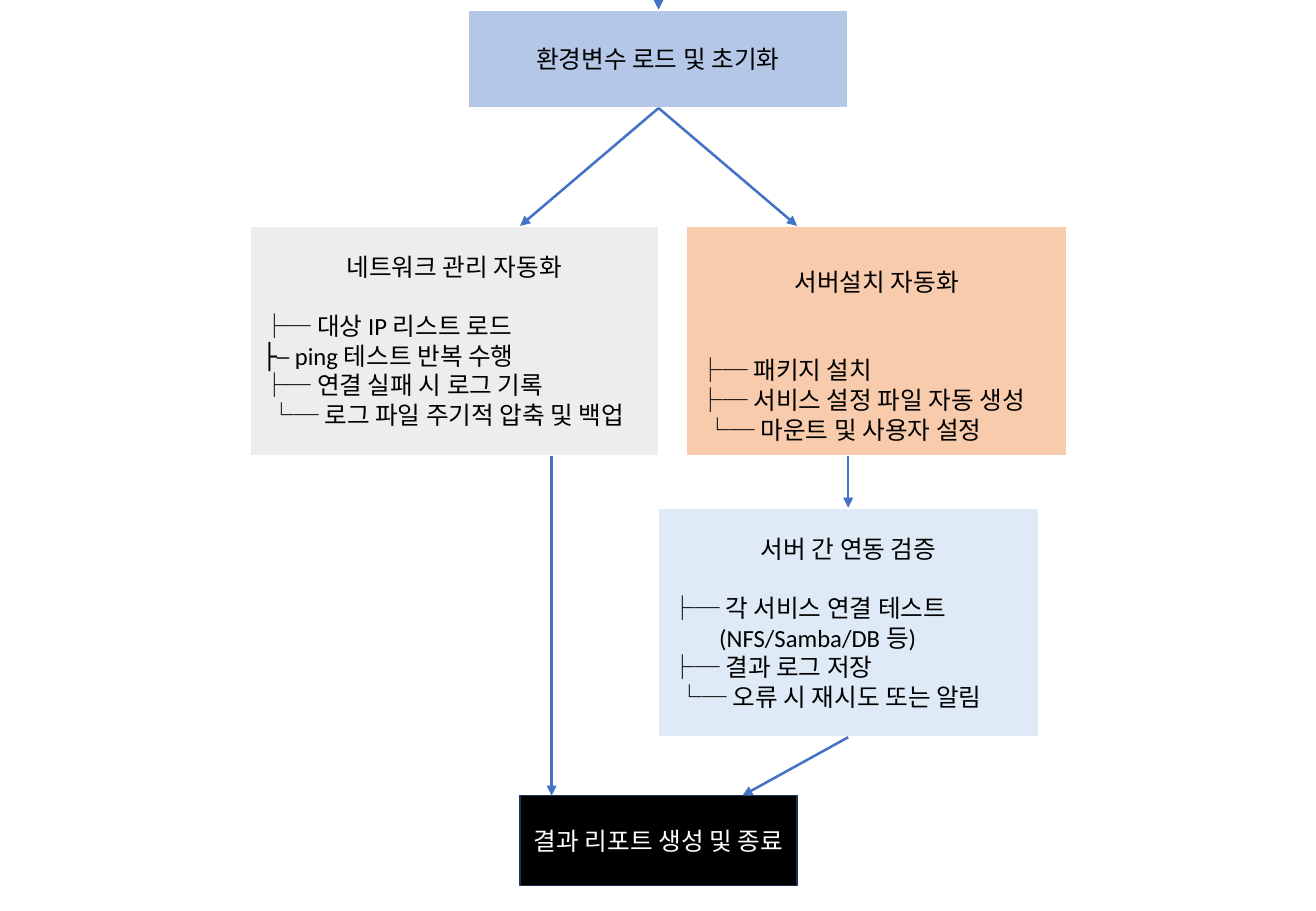
from lxml import etree
from pptx import Presentation
from pptx.dml.color import RGBColor
from pptx.enum import shapes, text
from pptx.oxml import ns
from pptx.util import Inches, Pt

FONT, SIZE, LINE = "Calibri", 14.6, 17.5
INK, PAPER, ARROW = "000000", "FFFFFF", "4472C4"
PLAIN, LAST, NOTE = 0, 0.06, 0.4

STEPS = {
    "load": dict(at=(3.85, 0.08, 3.13, 0.81), fill="B4C7E7", title="환경변수 로드 및 초기화"),
    "server": dict(at=(5.65, 1.86, 3.13, 1.89), fill="F8CBAD", title="서버설치 자동화",
                   gap=2, drop=0.24, items=[
                       (PLAIN, "├─ 패키지 설치"),
                       (PLAIN, "├─ 서비스 설정 파일 자동 생성"),
                       (LAST, "└─ 마운트 및 사용자 설정")]),
    "network": dict(at=(2.06, 1.86, 3.36, 1.89), fill="EDEDED", title="네트워크 관리 자동화",
                    items=[
                        (PLAIN, "├─ 대상 IP 리스트 로드"),
                        (PLAIN, "├─ ping 테스트 반복 수행"),
                        (PLAIN, "├─ 연결 실패 시 로그 기록"),
                        (LAST, "└─ 로그 파일 주기적 압축 및 백업")]),
    "verify": dict(at=(5.42, 4.18, 3.13, 1.89), fill="DEEBF7", title="서버 간 연동 검증",
                   items=[
                       (PLAIN, "├─ 각 서비스 연결 테스트"),
                       (NOTE, "(NFS/Samba/DB 등)"),
                       (PLAIN, "├─ 결과 로그 저장"),
                       (LAST, "└─ 오류 시 재시도 또는 알림")]),
    "finish": dict(at=(4.28, 6.55, 2.28, 0.74), fill=INK, edge="1E3256", ink=PAPER,
                   title="결과 리포트 생성 및 종료"),
}
FLOWS = [
    (None, 5.42, "load", 5.42),
    ("load", 5.42, "network", 4.28),
    ("load", 5.42, "server", 6.56),
    ("server", 6.98, "verify", 6.98),
    ("verify", 6.98, "finish", 6.11),
    ("network", 4.54, "finish", 4.54),
]


def color(value):
    return RGBColor.from_string(value)


def add_words(para, words, ink):
    span = para.add_run()
    span.text = words
    span.font.name = FONT
    span.font.size = Pt(SIZE)
    span.font.color.rgb = color(ink)


def add_step(page, at, fill, title, items=(), gap=1, drop=0, edge=PAPER, ink=INK):
    box = page.shapes.add_shape(shapes.MSO_SHAPE.RECTANGLE, *map(Inches, at))
    box.shadow.inherit = False
    box.fill.solid()
    box.fill.fore_color.rgb = color(fill)
    box.line.color.rgb = color(edge)
    box.line.width = Pt(1)
    frame = box.text_frame
    frame.word_wrap = True
    frame.vertical_anchor = text.MSO_ANCHOR.MIDDLE
    frame.margin_top = Inches(0.05 + drop)
    heading = frame.paragraphs[0]
    heading.alignment = text.PP_ALIGN.CENTER
    if items:
        heading.space_after = Pt(gap * LINE)
    add_words(heading, title, ink)
    for indent, words in items:
        para = frame.add_paragraph()
        para.alignment = text.PP_ALIGN.LEFT
        para._p.get_or_add_pPr().set("marL", str(Inches(indent)))
        add_words(para, words, ink)


def add_flow(page, source, start_x, target, end_x):
    start_y = sum(STEPS[source]["at"][1::2]) if source else 0
    end_y = STEPS[target]["at"][1]
    arrow = page.shapes.add_connector(
        shapes.MSO_CONNECTOR.STRAIGHT,
        *map(Inches, (start_x, start_y, end_x, end_y)))
    arrow.line.color.rgb = color(ARROW)
    arrow.line.width = Pt(1.5)
    etree.SubElement(arrow.line._get_or_add_ln(), ns.qn("a:tailEnd"), type="triangle")
    etree.SubElement(arrow._element.spPr, ns.qn("a:effectLst"))


def main():
    deck = Presentation()
    deck.slide_width, deck.slide_height = Inches(10.83), Inches(7.5)
    page = deck.slides.add_slide(deck.slide_layouts[6])
    for step in STEPS.values():
        add_step(page, **step)
    for flow in FLOWS:
        add_flow(page, *flow)
    deck.save("out.pptx")


if __name__ == "__main__":
    main()
